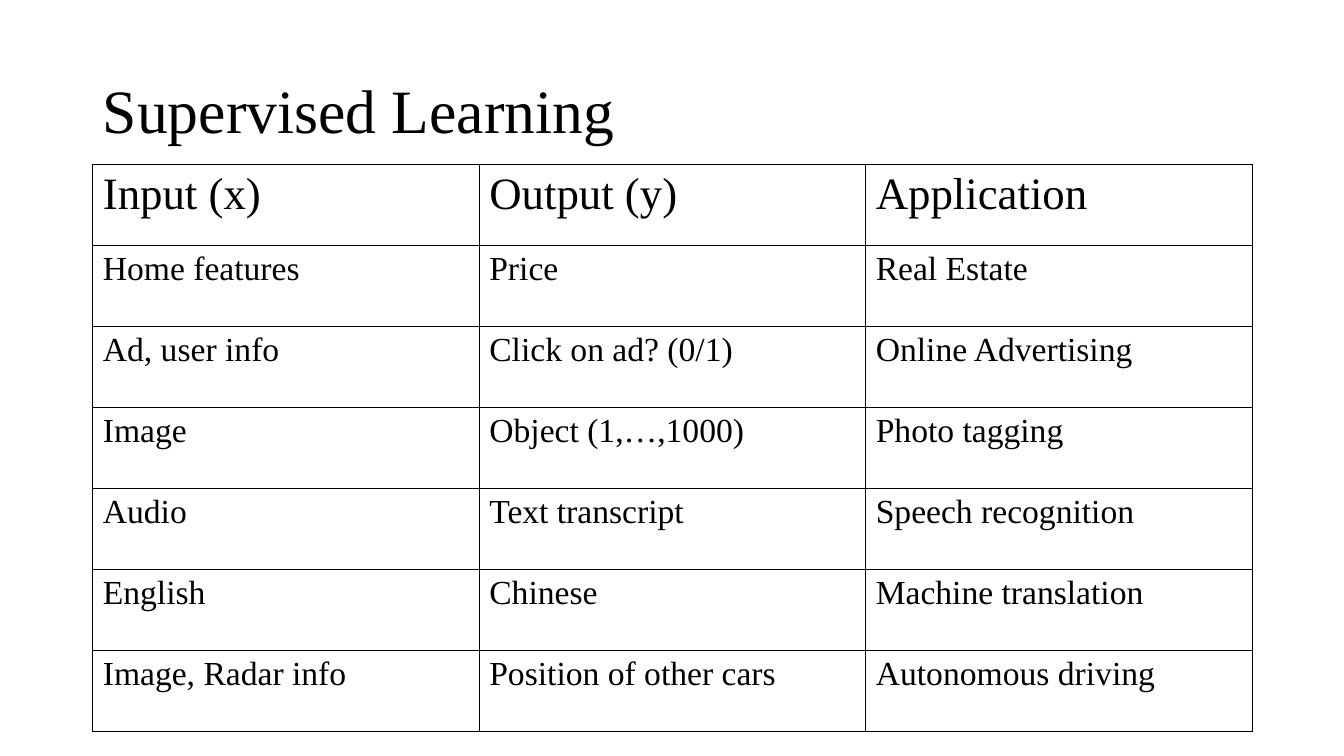
from lxml import etree
from pptx import Presentation, util as u
from pptx.dml.color import RGBColor
from pptx.enum import text
from pptx.oxml import ns

TITLE = "Supervised Learning"
ROWS = [
    ("Input (x)", "Output (y)", "Application"),
    ("Home features", "Price", "Real Estate"),
    ("Ad, user info", "Click on ad? (0/1)", "Online Advertising"),
    ("Image", "Object (1,…,1000)", "Photo tagging"),
    ("Audio", "Text transcript", "Speech recognition"),
    ("English", "Chinese", "Machine translation"),
    ("Image, Radar info", "Position of other cars", "Autonomous driving"),
]
COLORS = {"ink": "000000", "page": "FFFFFF"}
FONT = "Times New Roman"
SIZES = {"title": 44, "head": 32, "body": 24}
WIDE, HIGH = 13.33, 7.5
LEFT, SPAN = 0.92, 11.5
TITLE_TOP, TITLE_HIGH = 0.4, 1.45
GRID_TOP, GRID_HIGH = 1.63, 5.63


def style(para, size):
    """Set the font of every run in a paragraph."""
    para.alignment = text.PP_ALIGN.LEFT
    for run in para.runs:
        run.font.name = FONT
        run.font.size = u.Pt(size)
        run.font.bold = False
        run.font.color.rgb = RGBColor.from_string(COLORS["ink"])


def frame(cell):
    """Draw a thin line on all four sides of a cell."""
    props = cell._tc.get_or_add_tcPr()
    for spot, side in enumerate(("lnL", "lnR", "lnT", "lnB")):
        line = etree.Element(ns.qn("a:" + side), w=str(u.Pt(1)))
        fill = etree.SubElement(line, ns.qn("a:solidFill"))
        etree.SubElement(fill, ns.qn("a:srgbClr"), val=COLORS["ink"])
        props.insert(spot, line)


def add_title(slide):
    """Place and format the title."""
    title = slide.shapes.title
    title.left, title.top = u.Inches(LEFT), u.Inches(TITLE_TOP)
    title.width, title.height = u.Inches(SPAN), u.Inches(TITLE_HIGH)
    box = title.text_frame
    box.text = TITLE
    box.word_wrap = True
    box.auto_size = text.MSO_AUTO_SIZE.NONE
    box.vertical_anchor = text.MSO_ANCHOR.MIDDLE
    box.paragraphs[0].line_spacing = 0.9
    style(box.paragraphs[0], SIZES["title"])


def add_grid(slide):
    """Build the table of inputs, outputs and applications."""
    grid = slide.shapes.add_table(
        len(ROWS), len(ROWS[0]), u.Inches(LEFT), u.Inches(GRID_TOP),
        u.Inches(SPAN), u.Inches(GRID_HIGH)).table
    grid.horz_banding = grid.first_row = False
    for r, row in enumerate(ROWS):
        for c, words in enumerate(row):
            cell = grid.cell(r, c)
            cell.text = words
            cell.fill.solid()
            cell.fill.fore_color.rgb = RGBColor.from_string(COLORS["page"])
            style(cell.text_frame.paragraphs[0], SIZES["body" if r else "head"])
            frame(cell)


deck = Presentation()
deck.slide_width, deck.slide_height = u.Inches(WIDE), u.Inches(HIGH)
slide = deck.slides.add_slide(deck.slide_layouts[5])
add_title(slide)
add_grid(slide)
deck.save("out.pptx")
